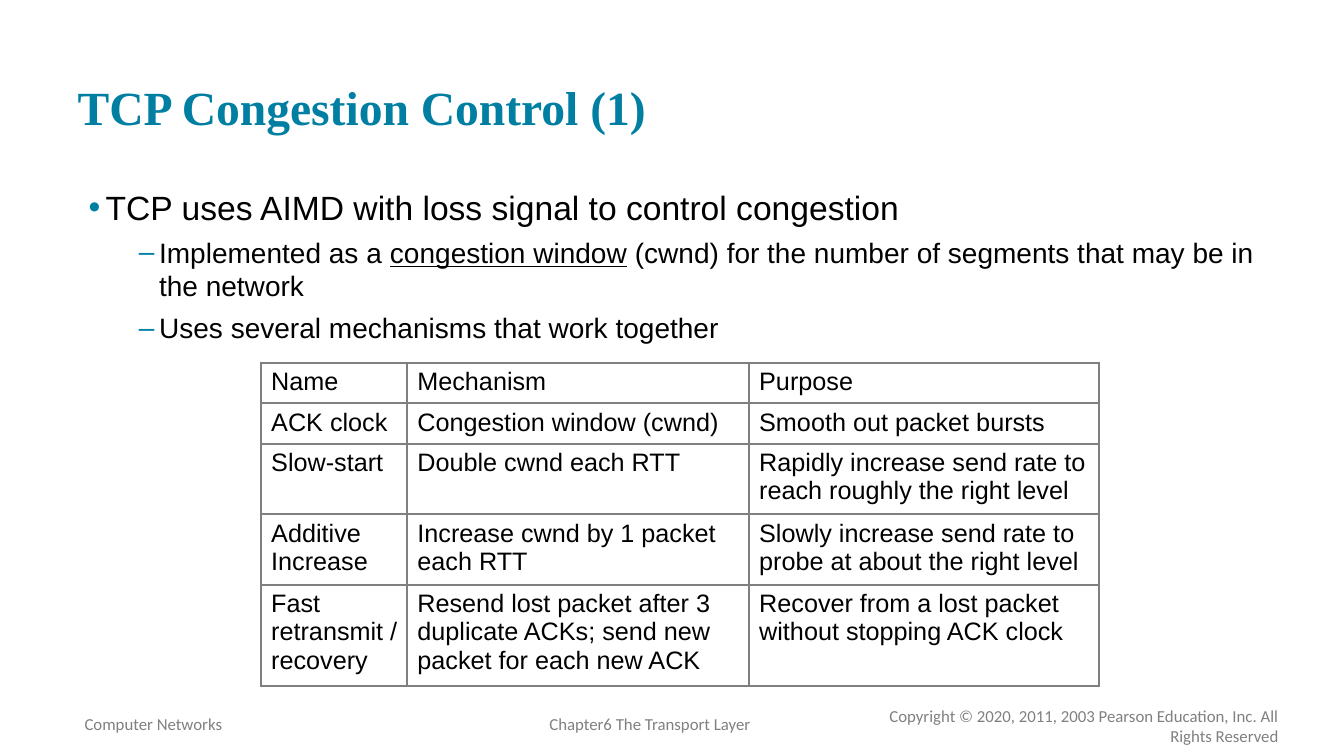
import pptx
import pptx.dml.color
import pptx.enum.text
import pptx.oxml
import pptx.oxml.ns
import pptx.util
from dataclasses import dataclass

Inches = pptx.util.Inches
ANCHOR = pptx.enum.text.MSO_ANCHOR
ALIGN = pptx.enum.text.PP_ALIGN

# Content
TITLE = "TCP Congestion Control (1)"

# Each bullet: level, then (text, underlined) pieces
BULLETS = [
    (0, [("TCP uses AIMD with loss signal to control congestion", False)]),
    (1, [("Implemented as a ", False), ("congestion window", True),
         (" (cwnd) for the number of segments that may be in the network", False)]),
    (1, [("Uses several mechanisms that work together", False)]),
]

MECHANISMS = [
    ("Name", "Mechanism", "Purpose"),
    ("ACK clock", "Congestion window (cwnd)", "Smooth out packet bursts"),
    ("Slow-start", "Double cwnd each RTT",
     "Rapidly increase send rate to reach roughly the right level"),
    ("Additive Increase", "Increase cwnd by 1 packet each RTT",
     "Slowly increase send rate to probe at about the right level"),
    ("Fast retransmit / recovery",
     "Resend lost packet after 3 duplicate ACKs; send new packet for each new ACK",
     "Recover from a lost packet without stopping ACK clock"),
]
COLUMN_WIDTHS = (1.45, 3.39, 3.47)
ROW_HEIGHTS = (0.4, 0.4, 0.7, 0.7, 1.0)

# Each footer: text, box, alignment, wrapping
FOOTERS = [
    ("Computer Networks", (0.74, 7.03, 4.61, 0.3), ALIGN.LEFT, True),
    ("Chapter6 The Transport Layer", (5.35, 7.03, 2.22, 0.3), ALIGN.LEFT, False),
    ("Copyright © 2020, 2011, 2003 Pearson Education, Inc. All Rights Reserved",
     (8.55, 6.95, 4.23, 0.22), ALIGN.RIGHT, True),
]

# Level: bullet, left margin, indent, space before, size
LEVELS = [("•", 0.28, -0.17, 0, 24), ("–", 0.81, -0.2, 6, 20)]


@dataclass(frozen=True)
class Theme:
    accent: str = "007FA3"
    text: str = "000000"
    muted: str = "808080"
    paper: str = "FFFFFF"
    title_font: str = "Times New Roman"
    body_font: str = "Arial"
    footer_font: str = "Calibri"
    title_size: int = 34
    table_size: int = 18
    footer_size: int = 12
    border_width: float = 1.5


THEME = Theme()


def rgb(color):
    return pptx.dml.color.RGBColor.from_string(color)


def format_runs(paragraph, name, size, color, bold=False):
    for run in paragraph.runs:
        run.font.name = name
        run.font.size = pptx.util.Pt(size)
        run.font.color.rgb = rgb(color)
        run.font.bold = bold


def place(shape, box):
    shape.left, shape.top, shape.width, shape.height = map(Inches, box)


def set_margins(text_frame, margin):
    text_frame.margin_left = text_frame.margin_right = Inches(margin)
    text_frame.margin_top = text_frame.margin_bottom = Inches(margin)


def add_xml(parent, xml):
    namespace = pptx.oxml.ns.nsdecls("a")
    parent.append(pptx.oxml.parse_xml(xml.replace(" ", f" {namespace} ", 1)))


def set_bullet(paragraph, character, margin, indent):
    properties = paragraph._p.get_or_add_pPr()
    properties.set("marL", str(Inches(margin)))
    properties.set("indent", str(Inches(indent)))
    add_xml(properties, f'<a:buClr ><a:srgbClr val="{THEME.accent}"/></a:buClr>')
    add_xml(properties, '<a:buFont typeface="Arial"/>')
    add_xml(properties, f'<a:buChar char="{character}"/>')


def set_borders(cell):
    # The cell's fill must follow its borders, so this runs before filling
    properties = cell._tc.get_or_add_tcPr()
    width = pptx.util.Pt(THEME.border_width)
    for side in ("lnL", "lnR", "lnT", "lnB"):
        add_xml(properties, f'<a:{side} w="{width}"><a:solidFill>'
                            f'<a:srgbClr val="{THEME.muted}"/></a:solidFill></a:{side}>')


def add_title(slide):
    title = slide.shapes.title
    place(title, (0.67, 0.24, 12, 1.2))
    frame = title.text_frame
    frame.text = TITLE
    frame.auto_size = pptx.enum.text.MSO_AUTO_SIZE.NONE
    frame.vertical_anchor = ANCHOR.BOTTOM
    set_margins(frame, 0.1)
    frame.paragraphs[0].alignment = ALIGN.LEFT
    format_runs(frame.paragraphs[0], THEME.title_font, THEME.title_size, THEME.accent, True)


def add_bullets(slide):
    frame = slide.shapes.add_textbox(*map(Inches, (0.67, 1.75, 12, 4.95))).text_frame
    frame.word_wrap = True
    set_margins(frame, 0.1)
    for index, (level, pieces) in enumerate(BULLETS):
        paragraph = frame.add_paragraph() if index else frame.paragraphs[0]
        character, margin, indent, space, size = LEVELS[level]
        paragraph.level = level
        set_bullet(paragraph, character, margin, indent)
        paragraph.space_before = pptx.util.Pt(space)
        for text, underlined in pieces:
            run = paragraph.add_run()
            run.text = text
            run.font.underline = underlined
        format_runs(paragraph, THEME.body_font, size, THEME.text)


def add_mechanism_table(slide):
    table = slide.shapes.add_table(
        len(ROW_HEIGHTS), len(COLUMN_WIDTHS), Inches(2.59), Inches(3.6),
        Inches(sum(COLUMN_WIDTHS)), Inches(sum(ROW_HEIGHTS))).table
    table.first_row = table.horz_banding = False
    for column, width in zip(table.columns, COLUMN_WIDTHS):
        column.width = Inches(width)
    for row, height, texts in zip(table.rows, ROW_HEIGHTS, MECHANISMS):
        row.height = Inches(height)
        for cell, text in zip(row.cells, texts):
            cell.text_frame.text = text
            format_runs(cell.text_frame.paragraphs[0], THEME.body_font,
                        THEME.table_size, THEME.text)
            set_borders(cell)
            cell.fill.solid()
            cell.fill.fore_color.rgb = rgb(THEME.paper)


def add_footers(slide):
    for text, box, alignment, wraps in FOOTERS:
        frame = slide.shapes.add_textbox(*map(Inches, box)).text_frame
        frame.word_wrap = wraps
        frame.text = text
        frame.paragraphs[0].alignment = alignment
        format_runs(frame.paragraphs[0], THEME.footer_font, THEME.footer_size, THEME.muted)


def main():
    presentation = pptx.Presentation()
    presentation.slide_width = Inches(13.33)
    presentation.slide_height = Inches(7.5)
    slide = presentation.slides.add_slide(presentation.slide_layouts.get_by_name("Title Only"))
    add_footers(slide)
    add_bullets(slide)
    add_title(slide)
    add_mechanism_table(slide)
    presentation.save("out.pptx")


if __name__ == "__main__":
    main()
